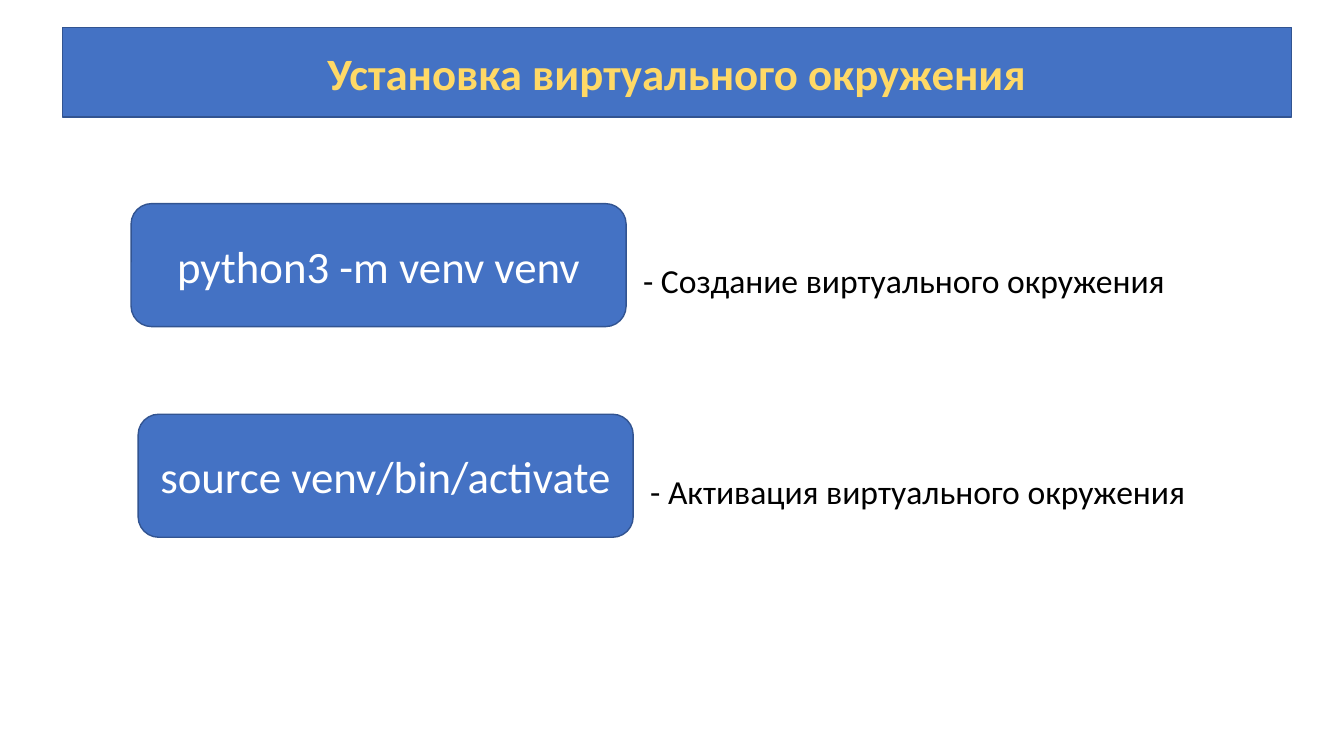
from pptx import Presentation
from pptx.dml.color import RGBColor
from pptx.enum.shapes import MSO_SHAPE
from pptx.enum.text import MSO_ANCHOR, MSO_AUTO_SIZE, PP_ALIGN
from pptx.util import Inches, Pt

RECT, ROUND = MSO_SHAPE.RECTANGLE, MSO_SHAPE.ROUNDED_RECTANGLE
MIDDLE, CENTER, LEFT = MSO_ANCHOR.MIDDLE, PP_ALIGN.CENTER, PP_ALIGN.LEFT
GROW = MSO_AUTO_SIZE.SHAPE_TO_FIT_TEXT

# Content
TITLE = "Установка виртуального окружения"
STEPS = [  # command, note, left, top, note width
    ("python3 -m venv venv", "- Создание виртуального окружения", 1.3, 2.02, 5.43),
    ("source venv/bin/activate", "- Активация виртуального окружения", 1.37, 4.11, 5.57),
]
COLORS = {"blue": "4472C4", "edge": "325491", "gold": "FFD966",
          "white": "FFFFFF", "black": "000000"}
FONT = "Calibri"
BOX_W, BOX_H = 4.91, 1.22
NOTE_DX, NOTE_DY, NOTE_H = 4.98, 0.51, 0.5


def color(name):
    return RGBColor.from_string(COLORS[name])


def write(shape, text, size, tint, align, bold=False):
    para = shape.text_frame.paragraphs[0]
    para.text = text
    para.alignment = align
    font = para.runs[0].font
    font.name, font.size, font.bold = FONT, Pt(size), bold
    font.color.rgb = color(tint)


def add_box(slide, kind, area, text, tint, bold=False):
    box = slide.shapes.add_shape(kind, *map(Inches, area))
    box.shadow.inherit = False
    box.fill.solid()
    box.fill.fore_color.rgb = color("blue")
    box.line.color.rgb = color("edge")
    box.line.width = Pt(1)
    box.text_frame.word_wrap = True
    box.text_frame.vertical_anchor = MIDDLE
    write(box, text, 32, tint, CENTER, bold)


def add_note(slide, area, text):
    note = slide.shapes.add_textbox(*map(Inches, area))
    note.text_frame.word_wrap = False
    note.text_frame.auto_size = GROW
    write(note, text, 24, "black", LEFT)


def main():
    deck = Presentation()
    deck.slide_width, deck.slide_height = Inches(13.33), Inches(7.5)
    slide = deck.slides.add_slide(deck.slide_layouts[6])

    # Title bar
    add_box(slide, RECT, (0.62, 0.27, 12.19, 0.89), TITLE, "gold", True)

    # Commands with their notes
    for command, note, left, top, width in STEPS:
        add_box(slide, ROUND, (left, top, BOX_W, BOX_H), command, "white")
        add_note(slide, (left + NOTE_DX, top + NOTE_DY, width, NOTE_H), note)

    deck.save("out.pptx")


if __name__ == "__main__":
    main()
